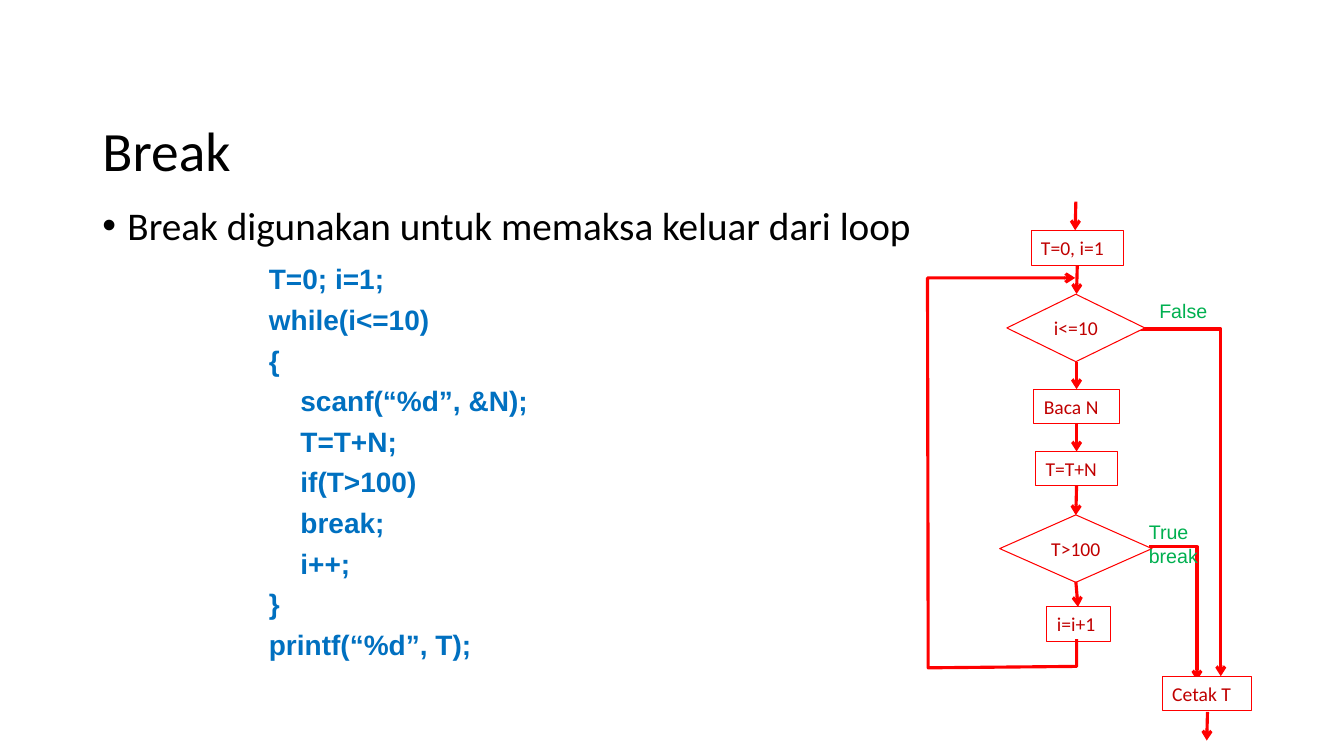
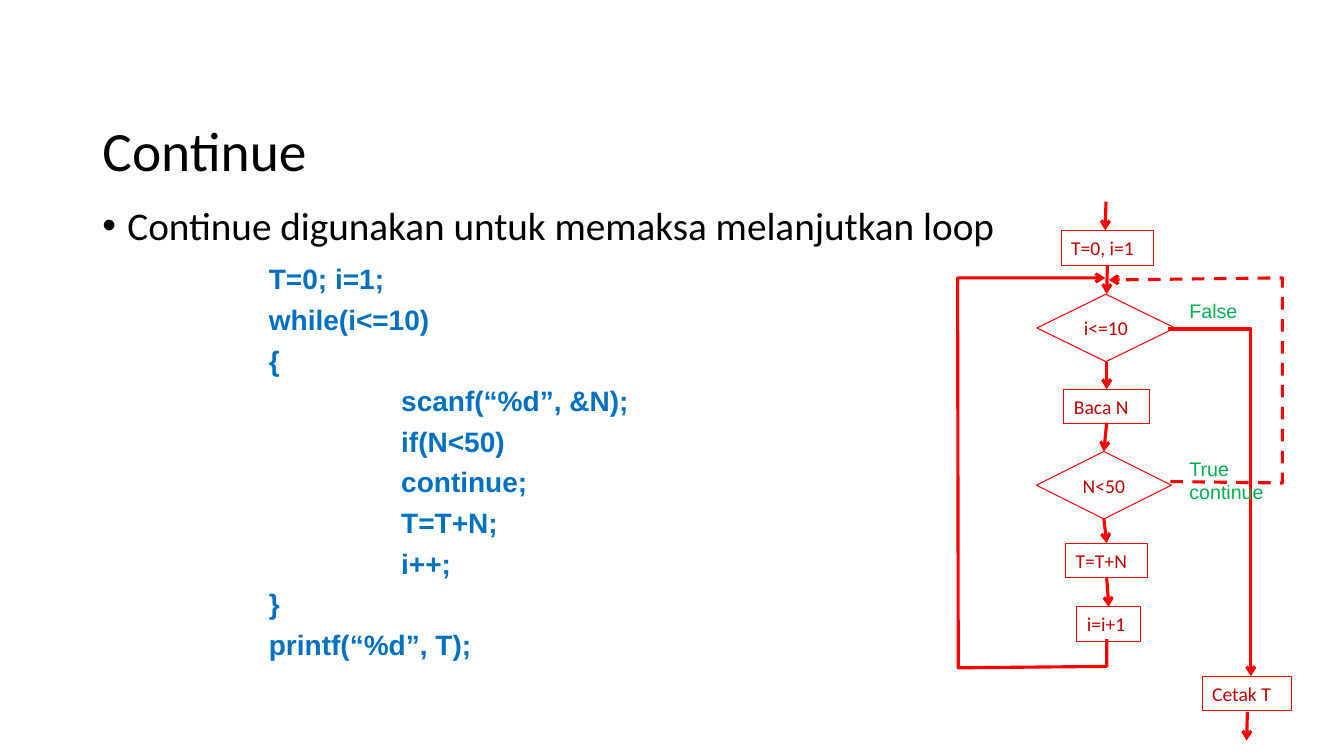
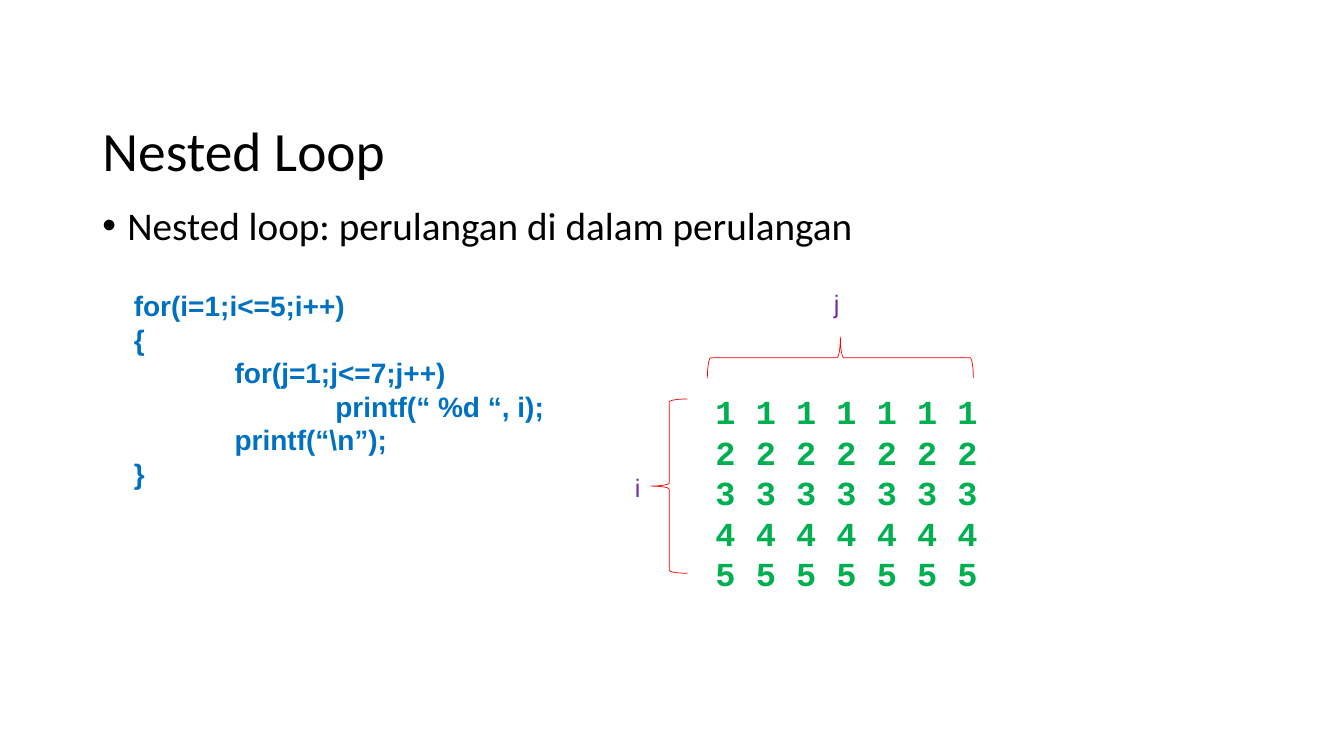
from lxml import etree
from pptx import Presentation
from pptx.dml.color import RGBColor
from pptx.enum.dml import MSO_LINE
from pptx.enum.shapes import MSO_CONNECTOR, MSO_SHAPE
from pptx.enum.text import MSO_ANCHOR, MSO_AUTO_SIZE, PP_ALIGN
from pptx.oxml.ns import qn
from pptx.util import Pt

RECTANGLE = MSO_SHAPE.RECTANGLE
DECISION = MSO_SHAPE.FLOWCHART_DECISION
BRACE = MSO_SHAPE.LEFT_BRACE
STRAIGHT = MSO_CONNECTOR.STRAIGHT
DASH = MSO_LINE.DASH
LEFT, CENTER = PP_ALIGN.LEFT, PP_ALIGN.CENTER
TOP, MIDDLE = MSO_ANCHOR.TOP, MSO_ANCHOR.MIDDLE
NO_FIT = MSO_AUTO_SIZE.NONE

BLACK, WHITE, RED = "000000", "FFFFFF", "FF0000"
DARK_RED, GREEN, BLUE, PURPLE = "C00000", "00B050", "0070C0", "7030A0"

TITLE = dict(name="Calibri", size=Pt(39.6), bold=False, color=BLACK)
BODY = dict(name="Calibri", size=Pt(28), color=BLACK)
CODE = dict(name="Arial", size=Pt(20), bold=True, color=BLUE)
STEP = dict(name="Calibri", size=Pt(14), color=DARK_RED)
BRANCH = dict(name="Arial", size=Pt(14), color=GREEN)
OUTPUT = dict(name="Courier New", size=Pt(24), bold=True, color=GREEN)
AXIS = dict(name="Arial", size=Pt(18), color=PURPLE)

STEP_HEIGHT = 24.5
DECISION_HEIGHT = 48.2
FALSE_TURN = 103
OUTPUT_TOP = 483


def rgb(value):
    return RGBColor.from_string(value)


def apply(target, values):
    for name, value in values.items():
        if name == "color":
            target.color.rgb = rgb(value)
        else:
            setattr(target, name, value)


def write(frame, lines, font, align=LEFT, anchor=TOP, wrap=True, gap=0, spacing=None, base=0, step=0):
    apply(frame, dict(word_wrap=wrap, auto_size=NO_FIT, vertical_anchor=anchor))
    for index, line in enumerate(lines):
        paragraph = frame.paragraphs[0] if index == 0 else frame.add_paragraph()
        code = line.lstrip("\t")
        margin = base + step * (len(line) - len(code))
        paragraph._p.get_or_add_pPr().set("marL", str(Pt(margin)))
        apply(paragraph, dict(alignment=align, space_before=Pt(gap if index else 0)))
        if spacing:
            paragraph.line_spacing = spacing
        span = paragraph.add_run()
        span.text = code
        apply(span.font, font)


def add_text(slide, left, top, width, height, lines, font, **options):
    box = slide.shapes.add_textbox(Pt(left), Pt(top), Pt(width), Pt(height))
    write(box.text_frame, lines, font, **options)
    return box


def add_topic(deck, title, statement):
    slide = deck.slides.add_slide(deck.slide_layouts[5])
    heading = slide.shapes.title
    apply(heading, dict(left=Pt(66), top=Pt(90.5), width=Pt(828), height=Pt(39)))
    write(heading.text_frame, [title], TITLE, anchor=MIDDLE, spacing=0.9)
    body = add_text(slide, 66, 144, 828, 343, [statement], BODY, spacing=0.9, base=18)
    properties = body.text_frame.paragraphs[0]._p.get_or_add_pPr()
    properties.set("indent", str(Pt(-18)))
    font = etree.SubElement(properties, qn("a:buFont"))
    font.set("typeface", "Arial")
    bullet = etree.SubElement(properties, qn("a:buChar"))
    bullet.set("char", "•")
    return slide


def add_outline(slide, kind, left, top, width, height):
    shape = slide.shapes.add_shape(kind, Pt(left), Pt(top), Pt(width), Pt(height))
    shape.shadow.inherit = False
    shape.line.color.rgb = rgb(RED)
    return shape


def add_step(slide, kind, center, top, width, text):
    is_decision = kind == DECISION
    height = DECISION_HEIGHT if is_decision else STEP_HEIGHT
    shape = add_outline(slide, kind, center - width / 2, top, width, height)
    shape.fill.solid()
    shape.fill.fore_color.rgb = rgb(WHITE)
    shape.line.width = Pt(0.75)
    align = CENTER if is_decision else LEFT
    write(shape.text_frame, [text], STEP, align=align, anchor=MIDDLE, wrap=not is_decision)


def finish_arrow(shape, dash=None):
    apply(shape.line, dict(color=RED, width=Pt(2.25)))
    if dash:
        shape.line.dash_style = dash
    tail = etree.SubElement(shape.line._get_or_add_ln(), qn("a:tailEnd"))
    tail.set("type", "arrow")
    etree.SubElement(shape._element.spPr, qn("a:effectLst"))


def add_arrow(slide, spine, start, top, end, bottom):
    arrow = slide.shapes.add_connector(
        STRAIGHT, Pt(spine + start), Pt(top), Pt(spine + end), Pt(bottom))
    finish_arrow(arrow)


def add_route(slide, spine, points, dash=None):
    corners = [(Pt(spine + x), Pt(y)) for x, y in points]
    builder = slide.shapes.build_freeform(*corners[0], scale=1.0)
    builder.add_line_segments(corners[1:], close=False)
    route = builder.convert_to_shape()
    route.fill.background()
    finish_arrow(route, dash)


def add_false_exit(slide, spine):
    add_route(slide, spine, [(44, 235), (FALSE_TURN, 235), (FALSE_TURN, OUTPUT_TOP)])


def add_flow(slide, spine, output, steps, arrows):
    common_steps = [
        (RECTANGLE, 0.5, 165, 66, "T=0, i=1"),
        (DECISION, -0.5, 210.2, 98.6, "i<=10"),
        (RECTANGLE, 0, 278, 61, "Baca N"),
        (RECTANGLE, 1.5, 433.5, 45.5, "i=i+1"),
        (RECTANGLE, output, OUTPUT_TOP, 63.5, "Cetak T"),
    ]
    common_arrows = [
        (-0.5, 144, -1, 164.5),
        (0.5, 189.5, 0, 210),
        (0, 258.5, 0, 278),
        (output + 0.5, 508.5, output, 529),
    ]
    for kind, center, top, width, text in common_steps + steps:
        add_step(slide, kind, spine + center, top, width, text)
    for arrow in common_arrows + arrows:
        add_arrow(slide, spine, *arrow)
    add_route(slide, spine, [(0, 456.5), (0, 476), (-106, 477), (-106.5, 198.5), (-1, 198.5)])
    add_text(slide, spine + 52, 210, 56, 24.5, ["False"], BRANCH)


def add_loop_code(slide, lines, step):
    add_text(slide, 122.5, 183.5, 424, 293, lines, CODE, gap=5, base=62.5, step=step)


def add_break(deck):
    slide = add_topic(deck, "Break", "Break digunakan untuk memaksa keluar dari loop")
    spine = 769
    add_false_exit(slide, spine)
    add_route(slide, spine, [(52, 390.5), (86, 390.5), (86, 486)])
    add_flow(
        slide, spine, 93,
        [(RECTANGLE, 0, 322.5, 58.5, "T=T+N"), (DECISION, -0.5, 367.8, 108.8, "T>100")],
        [(0, 302, 0, 322.5), (0, 347, -0.5, 368), (-0.5, 415.5, 1, 433.5)])
    add_text(slide, spine + 44.5, 368, 56, 41, ["True", "break"], BRANCH)
    add_loop_code(slide, [
        "T=0; i=1;",
        "while(i<=10)",
        "{",
        "\tscanf(“%d”, &N);",
        "\tT=T+N;",
        "\tif(T>100)",
        "\tbreak;",
        "\ti++;",
        "}",
        "printf(“%d”, T);",
    ], 22.5)


def add_continue(deck):
    slide = add_topic(deck, "Continue", "Continue digunakan untuk memaksa melanjutkan loop")
    spine = 790.5
    add_flow(
        slide, spine, 100,
        [(RECTANGLE, 0, 388, 58.5, "T=T+N"), (DECISION, -2, 322.5, 96.5, "N<50")],
        [(0, 302, -2, 322.5), (-2, 370.5, 0, 388), (0, 412.5, 1.5, 433.5)])
    add_route(slide, spine, [(45.5, 344), (125.5, 345), (125.5, 198.5), (1.5, 200)], DASH)
    add_false_exit(slide, spine)
    add_text(slide, spine + 52, 322.5, 72, 41, ["True", "continue"], BRANCH)
    add_loop_code(slide, [
        "T=0; i=1;",
        "while(i<=10)",
        "{",
        "\tscanf(“%d”, &N);",
        "\tif(N<50)",
        "\tcontinue;",
        "\tT=T+N;",
        "\ti++;",
        "}",
        "printf(“%d”, T);",
    ], 94.5)


def add_nested_loop(deck):
    slide = add_topic(deck, "Nested Loop", "Nested loop: perulangan di dalam perulangan")
    add_text(slide, 88.5, 202.5, 340, 177, [
        "for(i=1;i<=5;i++)",
        "{",
        "\tfor(j=1;j<=7;j++)",
        "\t\tprintf(“ %d “, i);",
        "\tprintf(“\\n”);",
        "}",
    ], CODE, spacing=Pt(24), step=72)
    rows = [" ".join([str(number)] * 7) for number in range(1, 6)]
    add_text(slide, 504, 275.5, 208, 152.5, rows, OUTPUT, spacing=Pt(29))
    row_brace = add_outline(slide, BRACE, 465, 285, 26, 124.5)
    column_brace = add_outline(slide, BRACE, 585.5, 160.5, 29.5, 190)
    column_brace.rotation = 90
    for brace in (row_brace, column_brace):
        brace.fill.background()
        brace.line.width = Pt(0.5)
    for left, top, label in [(446.5, 334, "i"), (588.5, 202.5, "j")]:
        add_text(slide, left, top, 20, 29, [label], AXIS)


def main():
    deck = Presentation()
    apply(deck, dict(slide_width=Pt(960), slide_height=Pt(540)))
    add_break(deck)
    add_continue(deck)
    add_nested_loop(deck)
    deck.save("out.pptx")


if __name__ == "__main__":
    main()
